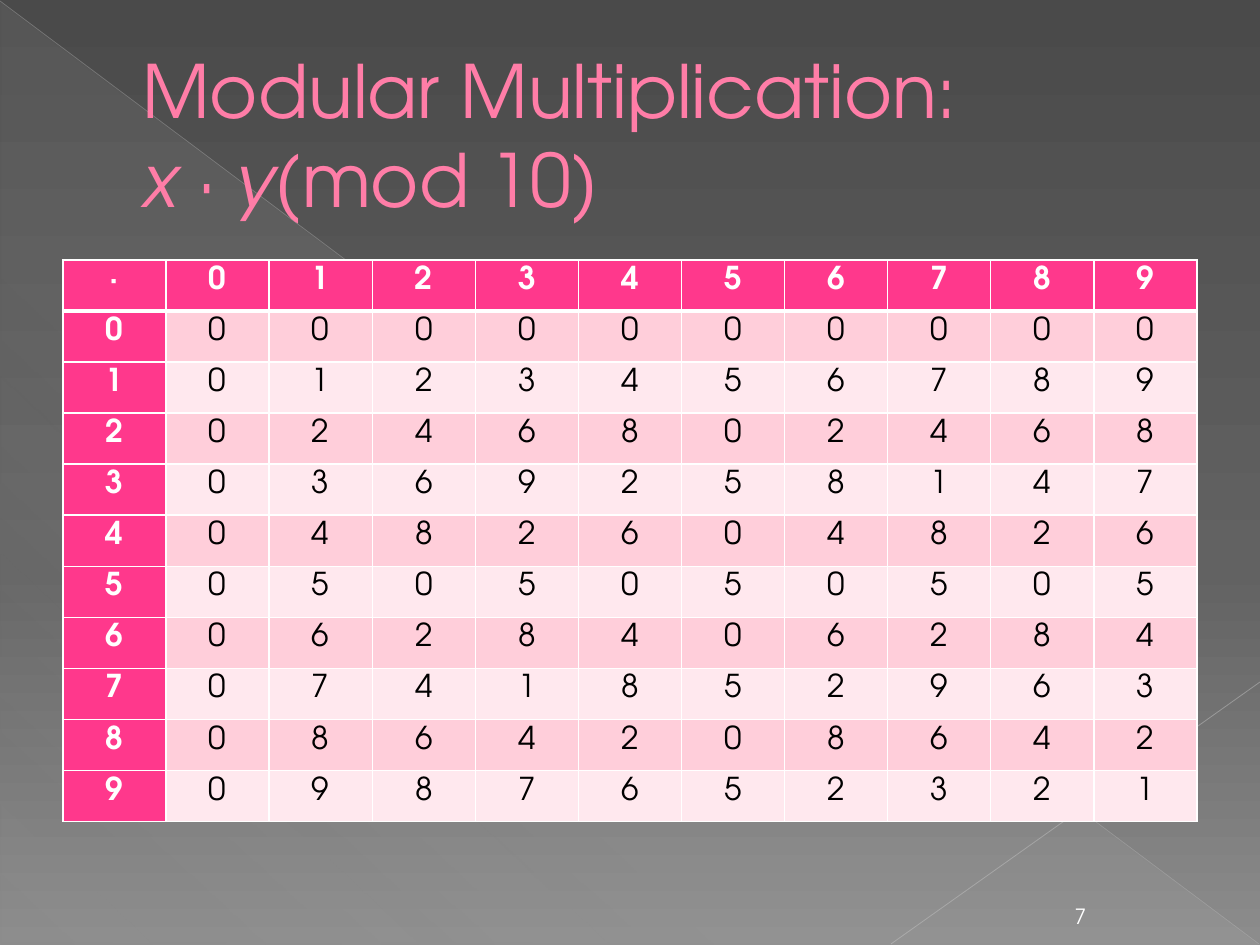
from pptx import Presentation
from pptx.dml.color import RGBColor
from pptx.enum.shapes import MSO_CONNECTOR as Conn, MSO_SHAPE as Kind
from pptx.enum.text import MSO_ANCHOR as Anchor, PP_ALIGN as Align
from pptx.oxml.ns import qn
from pptx.util import Pt
from lxml.etree import SubElement as Sub

FONT = "TeX Gyre Adventor"
SCALE = 914400 / 126
SIZE = 10


def px(n):
    return round(n * SCALE)


def color(code):
    return RGBColor.from_string(code)


def tint(node, code, alpha=100):
    clr = Sub(node, qn("a:srgbClr"), val=code)
    if alpha < 100:
        Sub(clr, qn("a:alpha"), val=str(alpha * 1000))


def line(node, tag, code, width):
    ln = node.makeelement(qn(tag), {"w": str(Pt(width))})
    tint(Sub(ln, qn("a:solidFill")), code)
    return ln


def blend(fill, root, angle, stops):
    fill.gradient()
    fill.gradient_angle = -angle % 360
    group = next(root.iter(qn("a:gsLst")))
    for stop in list(group):
        group.remove(stop)
    for pos, code, alpha in stops:
        tint(Sub(group, qn("a:gs"), pos=str(pos * 1000)), code, alpha)


def add_run(para, text, size, code, bold=False, italic=False, edge=None):
    run = para.add_run()
    run.text = text
    font = run.font
    font.name, font.size, font.bold, font.italic = FONT, Pt(size), bold, italic
    font.color.rgb = color(code)
    if edge:
        props = run.font._element
        props.insert(0, line(props, "a:ln", edge, 0.5))


def add_box(slide, left, top, width, height, anchor):
    box = slide.shapes.add_textbox(px(left), px(top), px(width), px(height))
    frame = box.text_frame
    frame.word_wrap = True
    frame.vertical_anchor = anchor
    return frame.paragraphs[0]


def add_line(slide, ends, code, width, alpha):
    wire = slide.shapes.add_connector(Conn.STRAIGHT, *map(px, ends))
    wire.line.width = Pt(width)
    wire.line.color.rgb = color(code)
    clr = next(wire.element.spPr.iter(qn("a:srgbClr")))
    Sub(clr, qn("a:alpha"), val=str(alpha * 1000))
    Sub(wire.element.spPr, qn("a:effectLst"))


def add_scene(slide):
    blend(slide.background.fill, slide.element, 90,
          [(0, "4A4A4A", 100), (60, "626262", 100), (100, "8C8C8C", 100)])
    wedge = slide.shapes.add_shape(Kind.RIGHT_TRIANGLE, px(1), px(2), px(1258), px(942))
    wedge.shadow.inherit = False
    wedge.line.fill.background()
    blend(wedge.fill, wedge.element, 133,
          [(0, "D2D2D2", 10), (70, "D2D2D2", 8), (100, "D2D2D2", 1)])
    add_line(slide, (0, 1, 1259, 944), "BFBFBF", 0.39, 35)
    add_line(slide, (1260, 682, 891, 944), "C6C6C6", 0.47, 45)


def add_title(slide):
    para = add_box(slide, 63, 37, 1134, 193, Anchor.MIDDLE)
    para._p.get_or_add_pPr().set("marL", str(px(67)))
    style = {"size": 42, "code": "FF7DA7", "edge": "B12761"}
    add_run(para, "Modular Multiplication:", **style)
    para.add_line_break()
    for text, italic in (("x ", True), ("⋅ ", False), ("y", True), ("(mod 10)", False)):
        add_run(para, text, italic=italic, **style)


def set_cell(cell, text, row, head):
    cell.fill.solid()
    band = "FFCEDA" if row % 2 else "FFE8EE"
    cell.fill.fore_color.rgb = color("FF388C" if head else band)
    para = cell.text_frame.paragraphs[0]
    para.alignment = Align.CENTER
    add_run(para, text, 18, "FFFFFF" if head else "000000", bold=head)
    props = cell._tc.get_or_add_tcPr()
    widths = {"L": 1, "R": 1, "T": 3 if row == 1 else 1, "B": 1 if row else 3}
    for spot, (side, width) in enumerate(widths.items()):
        props.insert(spot, line(props, "a:ln" + side, "FFFFFF", width))


def add_grid(slide):
    digits = range(SIZE)
    rows = [["⋅", *digits]]
    rows += [[x, *(x * y % SIZE for y in digits)] for x in digits]
    rows[10][7] = 2
    count = len(rows)
    table = slide.shapes.add_table(count, count, px(63), px(260), px(1134), px(562)).table
    for r, row in enumerate(rows):
        for c, value in enumerate(row):
            set_cell(table.cell(r, c), str(value), r, r == 0 or c == 0)


def add_page(slide):
    para = add_box(slide, 1046, 893, 69, 42, Anchor.BOTTOM)
    para.alignment = Align.CENTER
    add_run(para, "7", 12, "FFFFFF")


def main():
    deck = Presentation()
    deck.slide_width, deck.slide_height = px(1260), px(945)
    slide = deck.slides.add_slide(deck.slide_layouts[6])
    add_scene(slide)
    add_title(slide)
    add_grid(slide)
    add_page(slide)
    deck.save("out.pptx")


main()
